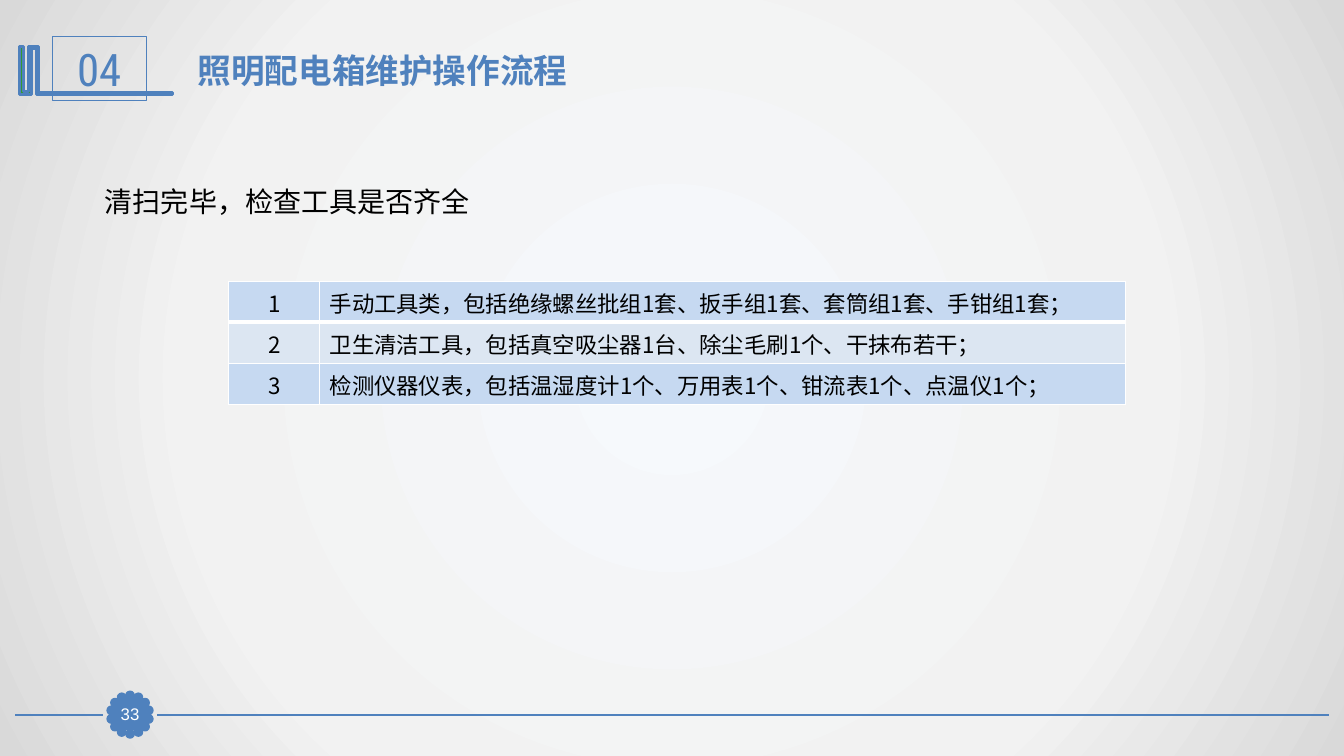
from dataclasses import dataclass
from math import cos, radians, sin

from lxml.etree import SubElement
from pptx import Presentation
from pptx.dml.color import RGBColor
from pptx.enum.shapes import MSO_CONNECTOR, MSO_SHAPE
from pptx.enum.text import MSO_ANCHOR, MSO_AUTO_SIZE, PP_ALIGN
from pptx.oxml import parse_xml
from pptx.oxml.ns import nsdecls, qn
from pptx.util import Inches, Pt

COLORS = {
    "blue": "4F81BD", "green": "339933", "black": "000000", "white": "FFFFFF",
    "row_dark": "C6D9F1", "row_light": "DCE6F2",
}
BACKGROUND = {0: "F6F9FC", 63000: "F2F2F2", 100000: "D9D9D9"}
CJK = "Noto Sans CJK SC"

MARK = [
    (0.37, 0.46), (0.38, 0.46), (0.38, 0.92), (1.71, 0.92), (1.71, 0.94),
    (0.36, 0.94), (0.36, 0.48), (0.31, 0.48), (0.31, 0.94), (0.19, 0.94),
    (0.19, 0.46), (0.23, 0.46), (0.23, 0.91), (0.28, 0.91), (0.28, 0.46),
]


@dataclass
class Box:
    left: float
    top: float
    width: float
    height: float

    def emu(self) -> tuple:
        return tuple(Inches(v) for v in (self.left, self.top, self.width, self.height))


@dataclass
class ToolRow:
    text: str
    fill: str
    bottom: float = 1


TOOLS = [
    ToolRow("手动工具类，包括绝缘螺丝批组1套、扳手组1套、套筒组1套、手钳组1套；", "row_dark", 3),
    ToolRow("卫生清洁工具，包括真空吸尘器1台、除尘毛刷1个、干抹布若干；", "row_light"),
    ToolRow("检测仪器仪表，包括温湿度计1个、万用表1个、钳流表1个、点温仪1个；", "row_dark"),
]


def rgb(name: str) -> RGBColor:
    return RGBColor.from_string(COLORS[name])


def write(tf, text: str, *, size: float, color: str = "black", font: str = "Arial",
          bold: bool = False, align=PP_ALIGN.LEFT, hanging: float = 0):
    """Fill the first paragraph; hanging is the hanging indent in inches."""
    p = tf.paragraphs[0]
    p.alignment = align
    p.space_before = Pt(0)
    pPr = p._p.get_or_add_pPr()
    pPr.set("marL", str(Inches(hanging)))
    pPr.set("indent", str(-Inches(hanging)))
    SubElement(pPr, qn("a:buNone"))
    r = p.add_run()
    r.text = text
    r.font.size, r.font.bold, r.font.name = Pt(size), bold, font
    r.font.color.rgb = rgb(color)
    SubElement(r._r.get_or_add_rPr(), qn("a:ea"), typeface=CJK)


def style(sp, fill: str | None, width: float):
    sp.shadow.inherit = False
    if fill:
        sp.fill.solid()
        sp.fill.fore_color.rgb = rgb(fill)
    else:
        sp.fill.background()
    sp.line.color.rgb = rgb("blue")
    sp.line.width = Pt(width)


def add_preset(slide, kind, box: Box, fill: str | None, width: float):
    sp = slide.shapes.add_shape(kind, *box.emu())
    style(sp, fill, width)
    sp.text_frame.vertical_anchor = MSO_ANCHOR.MIDDLE
    return sp


def add_rule(slide, x1: float, x2: float, y: float):
    line = slide.shapes.add_connector(
        MSO_CONNECTOR.STRAIGHT, Inches(x1), Inches(y), Inches(x2), Inches(y))
    line.line.color.rgb = rgb("blue")
    line.line.width = Pt(1.25)
    SubElement(line._element.spPr, qn("a:effectLst"))


def set_background(slide):
    stops = "".join(f'<a:gs pos="{pos}"><a:srgbClr val="{c}"/></a:gs>'
                    for pos, c in BACKGROUND.items())
    slide.background.fill.solid()
    bgPr = slide.background._cSld.bg.bgPr
    bgPr.replace(bgPr[0], parse_xml(
        f'<a:gradFill {nsdecls("a")} rotWithShape="1"><a:gsLst>{stops}</a:gsLst>'
        '<a:path path="circle"><a:fillToRect l="50000" t="50000" r="50000" b="50000"/>'
        '</a:path></a:gradFill>'))


def add_footer(slide):
    add_rule(slide, 1.56, 13.18, 7.09)
    add_rule(slide, 0.15, 1.02, 7.09)
    cx, cy, radius, dot, count = 1.29, 7.09, 0.19, 0.07, 14
    for i in range(count):
        a = radians(360 * i / count)
        x, y = cx + radius * sin(a), cy - radius * cos(a)
        add_preset(slide, MSO_SHAPE.OVAL, Box(x - dot / 2, y - dot / 2, dot, dot), "blue", 2)
    badge = add_preset(slide, MSO_SHAPE.RECTANGLE, Box(1.13, 6.93, 0.32, 0.31), "blue", 0.75)
    tf = badge.text_frame
    tf.margin_left = tf.margin_right = tf.margin_top = tf.margin_bottom = 0
    write(tf, "33", size=12, color="white", align=PP_ALIGN.CENTER)


def add_section_mark(slide):
    points = [(Inches(x), Inches(y)) for x, y in MARK]
    builder = slide.shapes.build_freeform(*points[0])
    builder.add_line_segments(points[1:], close=True)
    style(builder.convert_to_shape(), "green", 2)
    number = add_preset(slide, MSO_SHAPE.RECTANGLE, Box(0.52, 0.36, 0.93, 0.64), None, 0.75)
    write(number.text_frame, "04", size=32, color="blue", font="Roboto Condensed",
          align=PP_ALIGN.CENTER)


def fill_placeholder(sp, box: Box, text: str, **fmt):
    sp.left, sp.top, sp.width, sp.height = box.emu()
    tf = sp.text_frame
    tf.word_wrap = True
    tf.auto_size = MSO_AUTO_SIZE.SHAPE_TO_FIT_TEXT
    tf.vertical_anchor = MSO_ANCHOR.TOP
    write(tf, text, **fmt)


def set_borders(cell, bottom: float):
    tcPr = cell._tc.get_or_add_tcPr()
    for side, width in {"L": 1, "R": 1, "T": 1, "B": bottom}.items():
        ln = SubElement(tcPr, qn(f"a:ln{side}"), w=str(Pt(width)))
        SubElement(SubElement(ln, qn("a:solidFill")), qn("a:srgbClr"), val=COLORS["white"])


def add_tool_table(slide):
    table = slide.shapes.add_table(len(TOOLS), 2, *Box(2.27, 2.79, 8.89, 1.22).emu()).table
    table.first_row = table.horz_banding = False
    table.columns[0].width, table.columns[1].width = Inches(0.9), Inches(7.99)
    for i, tool in enumerate(TOOLS):
        for j, text in enumerate((str(i + 1), tool.text)):
            cell = table.cell(i, j)
            set_borders(cell, tool.bottom)
            cell.fill.solid()
            cell.fill.fore_color.rgb = rgb(tool.fill)
            cell.vertical_anchor = MSO_ANCHOR.MIDDLE
            write(cell.text_frame, text, size=16, font=CJK,
                  align=PP_ALIGN.LEFT if j else PP_ALIGN.CENTER)


def main():
    prs = Presentation()
    prs.slide_width, prs.slide_height = Inches(13.33), Inches(7.5)
    slide = prs.slides.add_slide(prs.slide_layouts[1])
    set_background(slide)
    add_footer(slide)
    add_section_mark(slide)
    fill_placeholder(slide.shapes.title, Box(1.86, 0.44, 9.69, 0.5),
                     "照明配电箱维护操作流程", size=24, color="blue", bold=True)
    fill_placeholder(slide.placeholders[1], Box(0.94, 1.78, 5.56, 0.44),
                     "清扫完毕，检查工具是否齐全", size=20, hanging=0.5)
    add_tool_table(slide)
    prs.save("out.pptx")


if __name__ == "__main__":
    main()
